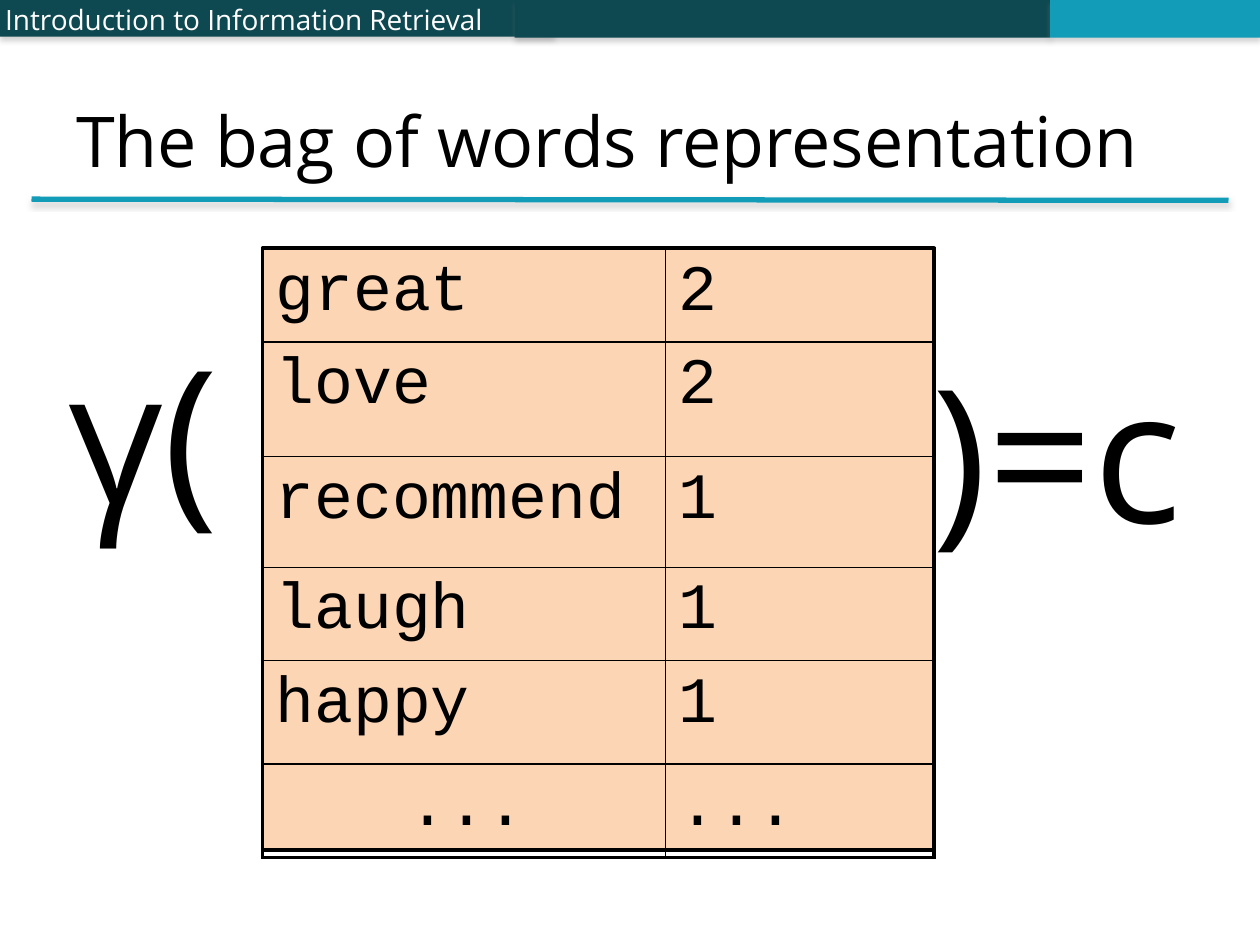
from lxml import etree
from pptx import Presentation
from pptx.dml.color import RGBColor
from pptx.enum import shapes, text
from pptx.oxml import ns
from pptx.util import Pt

DARK_TEAL = RGBColor(0x0E, 0x48, 0x51)
TEAL = RGBColor(0x13, 0x9C, 0xB7)
PEACH = RGBColor(0xFC, 0xD5, 0xB5)
BLACK = RGBColor(0, 0, 0)
WHITE = RGBColor(255, 255, 255)
SHADOW_GREY = RGBColor(0x80, 0x80, 0x80)

SANS, MONO = "Open Sans", "Courier New"
INDENT = Pt(3)
THIN, THICK = Pt(1), Pt(2.25)
WORD_COUNTS = [("great", "2"), ("love", "2"), ("recommend", "1"),
               ("laugh", "1"), ("happy", "1"), ("...", "...")]
COLUMN_WIDTHS = [230.4, 153.4]
ROW_HEIGHTS = [52.3, 65.6, 63.2, 52.3, 59.2, 52.3]


def add_node(parent, tag, **values):
    node = etree.SubElement(parent, ns.qn(tag))
    for name, value in values.items():
        node.set(name, str(value))
    return node


def add_shadow(item, opacity):
    """Soft grey shadow falling straight down."""
    for old in item._element.spPr.findall(ns.qn("a:effectLst")):
        item._element.spPr.remove(old)
    effects = add_node(item._element.spPr, "a:effectLst")
    shadow = add_node(effects, "a:outerShdw", blurRad=Pt(3), dist=Pt(2),
                      dir=90 * 60000, rotWithShape=0)
    colour = add_node(shadow, "a:srgbClr", val=SHADOW_GREY)
    add_node(colour, "a:alpha", val=opacity * 1000)


def write(frame, words, margins, font, align=text.PP_ALIGN.LEFT):
    sides = ("margin_left", "margin_top", "margin_right", "margin_bottom")
    for side, margin in zip(sides, margins):
        setattr(frame, side, Pt(margin))
    para = frame.paragraphs[0]
    para.alignment = align
    para._p.get_or_add_pPr().set("marL", str(INDENT))
    span = para.add_run()
    span.text = words
    span.font.color.rgb = font["color"]
    for name in ("name", "size"):
        setattr(span.font, name, font[name])


def add_text(page, box, words, size, color=BLACK, margins=(0, 0, 3, 0),
             anchor=text.MSO_ANCHOR.TOP, wrap=True):
    frame = page.shapes.add_textbox(*map(Pt, box)).text_frame
    frame.word_wrap = wrap
    frame.vertical_anchor = anchor
    write(frame, words, margins, {"name": SANS, "size": Pt(size), "color": color})


def add_panel(page, box, color):
    panel = page.shapes.add_shape(shapes.MSO_SHAPE.RECTANGLE, *map(Pt, box))
    panel.shadow.inherit = False
    panel.fill.solid()
    panel.fill.fore_color.rgb = color
    panel.line.fill.background()
    return panel


def add_header(page, box):
    left, top, width, height = box
    # Course name on the first bar, then two plain bars
    bars = [(0, 316.8, height - 0.6, DARK_TEAL),
            (294, 306, height, DARK_TEAL),
            (600, width - 600, height, TEAL)]
    for index, (offset, bar_width, bar_height, color) in enumerate(bars):
        bar = add_panel(page, (left + offset, top, bar_width, bar_height), color)
        add_shadow(bar, 35)
        if index == 0:
            add_text(page, (left, top - 10.8, bar_width, 44),
                     "Introduction to Information Retrieval", 16, WHITE,
                     anchor=text.MSO_ANCHOR.MIDDLE)


def add_title(page, box):
    left, top, width, height = box
    # Rule under the title
    rule = page.shapes.add_connector(
        shapes.MSO_CONNECTOR.STRAIGHT, Pt(left - 18), Pt(top + height + 5.8),
        Pt(left + 666), Pt(top + height + 6.5))
    rule.line.color.rgb = TEAL
    rule.line.width = Pt(3)
    add_shadow(rule, 38)
    add_text(page, box, "The bag of words representation", 40,
             margins=(4.5, 4.5, 10, 4.5), anchor=text.MSO_ANCHOR.BOTTOM)


def set_borders(cell, widths):
    properties = cell._tc.get_or_add_tcPr()
    for side, width in widths.items():
        edge = add_node(properties, f"a:ln{side}", w=width)
        add_node(add_node(edge, "a:solidFill"), "a:srgbClr", val=BLACK)


def add_word_table(page, box):
    # Peach panel behind the unfilled cells
    panel = add_panel(page, box, PEACH)
    panel.line.color.rgb = BLACK
    panel.line.width = THICK

    left, top, width, _ = box
    last_row, last_column = len(WORD_COUNTS) - 1, len(COLUMN_WIDTHS) - 1
    frame = page.shapes.add_table(last_row + 1, last_column + 1, Pt(left), Pt(top),
                                  Pt(width), Pt(sum(ROW_HEIGHTS)))
    table = frame.table
    table.first_row = table.horz_banding = False
    for column, column_width in zip(table.columns, COLUMN_WIDTHS):
        column.width = Pt(column_width)
    for r, (row, height) in enumerate(zip(table.rows, ROW_HEIGHTS)):
        row.height = Pt(height)
        for c, cell in enumerate(row.cells):
            set_borders(cell, {"L": THICK if c == 0 else THIN,
                               "R": THICK if c == last_column else THIN,
                               "T": THICK if r == 0 else THIN,
                               "B": THICK if r == last_row else THIN})
            cell.fill.background()
            for side in ("left", "top", "right", "bottom"):
                setattr(cell, f"margin_{side}", Pt(4.5))
            centred = r == last_row and c == 0
            write(cell.text_frame, WORD_COUNTS[r][c], (4.5,) * 4,
                  {"name": MONO, "size": Pt(37), "color": BLACK},
                  text.PP_ALIGN.CENTER if centred else text.PP_ALIGN.LEFT)


def add_formula(page, box):
    left, top, width, height = box
    # Classifier applied to the table gives the class
    add_text(page, (left, top, 108.7, height), "γ(", 106)
    add_text(page, (left + 494, top + 10.8, width - 494, height), ")=c", 106, wrap=False)


def main():
    deck = Presentation()
    deck.slide_width, deck.slide_height = Pt(720), Pt(540)
    page = deck.slides.add_slide(deck.slide_layouts[6])
    add_header(page, (0, 0, 720, 21.6))
    add_title(page, (36, 0, 660, 108))
    add_word_table(page, (150, 142, 383.8, 344))
    add_formula(page, (36, 182.2, 679, 131.8))
    deck.save("out.pptx")


if __name__ == "__main__":
    main()
